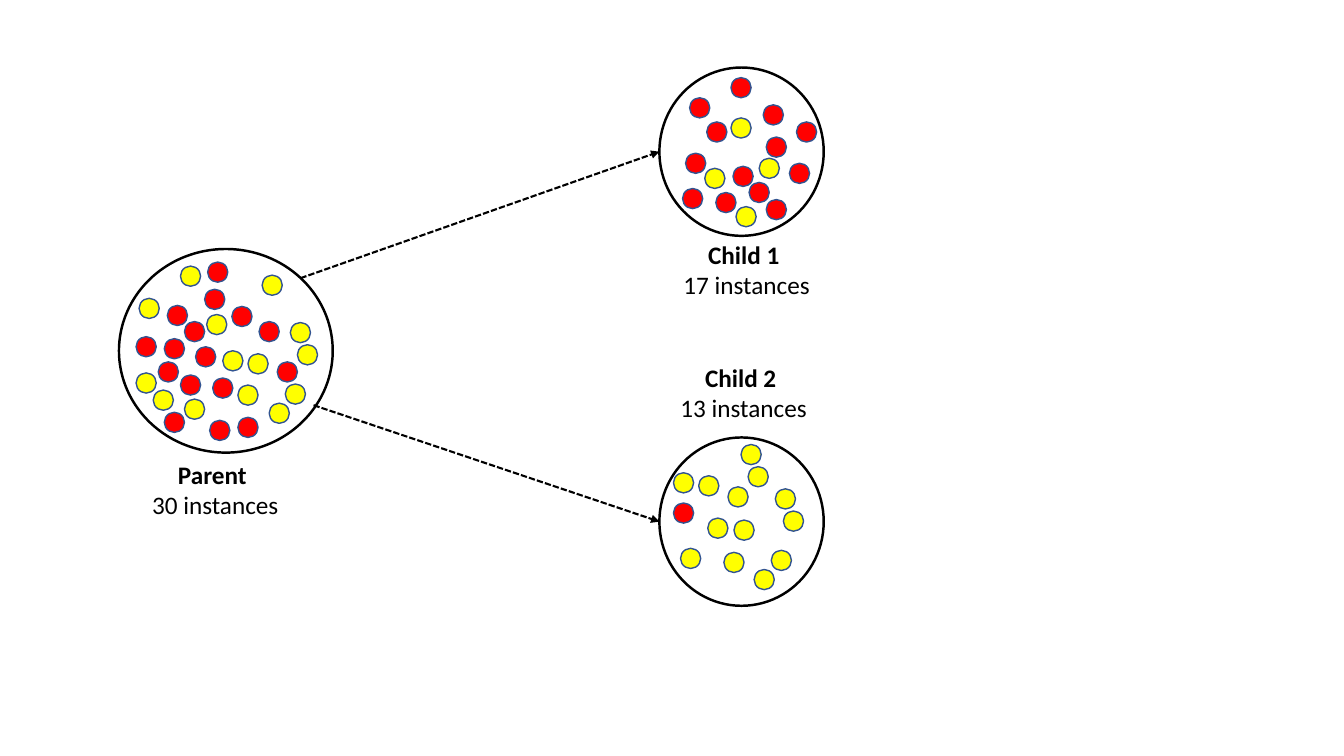
"""Build a slide showing a parent node split into two child nodes."""
from lxml.etree import SubElement
from pptx import Presentation
from pptx.dml.color import RGBColor
from pptx.enum.dml import MSO_LINE
from pptx.enum.shapes import MSO_CONNECTOR, MSO_SHAPE
from pptx.enum.text import MSO_AUTO_SIZE, PP_ALIGN
from pptx.oxml.ns import qn
from pptx.util import Pt

RED = RGBColor(0xFF, 0x00, 0x00)
YELLOW = RGBColor(0xFF, 0xFF, 0x00)
BLUE = RGBColor(0x32, 0x54, 0x91)
BLACK = RGBColor(0x00, 0x00, 0x00)

PX = 9144
SLIDE_SIZE = (1333, 750)
DOT_SIZE = 20
CAPTION_SIZE = (147, 71)

NODES = [
    {
        "name": "Parent ", "count": "30 instances",
        "circle": (118, 247, 212, 202), "caption": (140, 451),
        "red": [(135, 334), (166, 303), (183, 319), (203, 287), (257, 319), (157, 359),
                (211, 375), (194, 344), (275, 359), (206, 260), (179, 372), (230, 304),
                (236, 414), (208, 417), (163, 336), (163, 409)],
        "yellow": [(135, 370), (205, 312), (221, 348), (138, 296), (183, 396), (267, 400),
                   (179, 264), (283, 381), (288, 320), (295, 342), (152, 387), (236, 382),
                   (246, 351), (260, 273)],
    },
    {
        "name": "Child 1 ", "count": "17 instances",
        "circle": (654, 67, 163, 167), "caption": (667, 232), "arrow_start": (298, 276),
        "red": [(725, 77), (684, 97), (710, 191), (727, 165), (743, 181), (760, 198),
                (701, 121), (677, 187), (760, 136), (680, 152), (757, 104), (783, 162),
                (790, 121)],
        "yellow": [(725, 117), (699, 167), (730, 205), (753, 157)],
    },
    {
        "name": "Child 2 ", "count": "13 instances",
        "circle": (654, 434, 163, 167), "caption": (664, 354), "arrow_start": (311, 402),
        "red": [(668, 499)],
        "yellow": [(702, 514), (748, 565), (765, 546), (769, 485), (777, 507), (718, 548),
                   (728, 516), (668, 469), (722, 483), (735, 441), (742, 463), (675, 544),
                   (693, 472)],
    },
]


def emu(*lengths):
    return [round(length * PX) for length in lengths]


def add_circle(slide, box, fill, outline, width):
    circle = slide.shapes.add_shape(MSO_SHAPE.OVAL, *emu(*box))
    circle.shadow.inherit = False
    if fill is None:
        circle.fill.background()
    else:
        circle.fill.solid()
        circle.fill.fore_color.rgb = fill
    circle.line.color.rgb = outline
    circle.line.width = Pt(width)


def add_arrow(slide, start, circle):
    left, top, _, height = circle
    arrow = slide.shapes.add_connector(
        MSO_CONNECTOR.STRAIGHT, *emu(*start, left, top + height / 2))
    arrow.line.color.rgb = BLACK
    arrow.line.width = Pt(1.5)
    arrow.line.dash_style = MSO_LINE.SQUARE_DOT
    SubElement(arrow.line._get_or_add_ln(), qn("a:tailEnd"), type="triangle")
    SubElement(arrow._element.spPr, qn("a:effectLst"))


def add_caption(slide, node):
    frame = slide.shapes.add_textbox(*emu(*node["caption"], *CAPTION_SIZE)).text_frame
    frame.word_wrap = False
    frame.auto_size = MSO_AUTO_SIZE.SHAPE_TO_FIT_TEXT
    name_line, count_line = frame.paragraphs[0], frame.add_paragraph()
    for line, words, bold in ((name_line, node["name"], True),
                              (count_line, node["count"], False)):
        line.alignment = PP_ALIGN.CENTER
        run = line.add_run()
        run.text = words
        run.font.name = "Calibri"
        run.font.size = Pt(18)
        run.font.bold = bold
        run.font.color.rgb = BLACK


def main():
    deck = Presentation()
    deck.slide_width, deck.slide_height = emu(*SLIDE_SIZE)
    slide = deck.slides.add_slide(deck.slide_layouts[6])
    for node in NODES:
        add_circle(slide, node["circle"], None, BLACK, 1.75)
        if "arrow_start" in node:
            add_arrow(slide, node["arrow_start"], node["circle"])
        for color, dots in ((RED, node["red"]), (YELLOW, node["yellow"])):
            for dot in dots:
                add_circle(slide, (*dot, DOT_SIZE, DOT_SIZE), color, BLUE, 1)
        add_caption(slide, node)
    deck.save("out.pptx")


if __name__ == "__main__":
    main()
